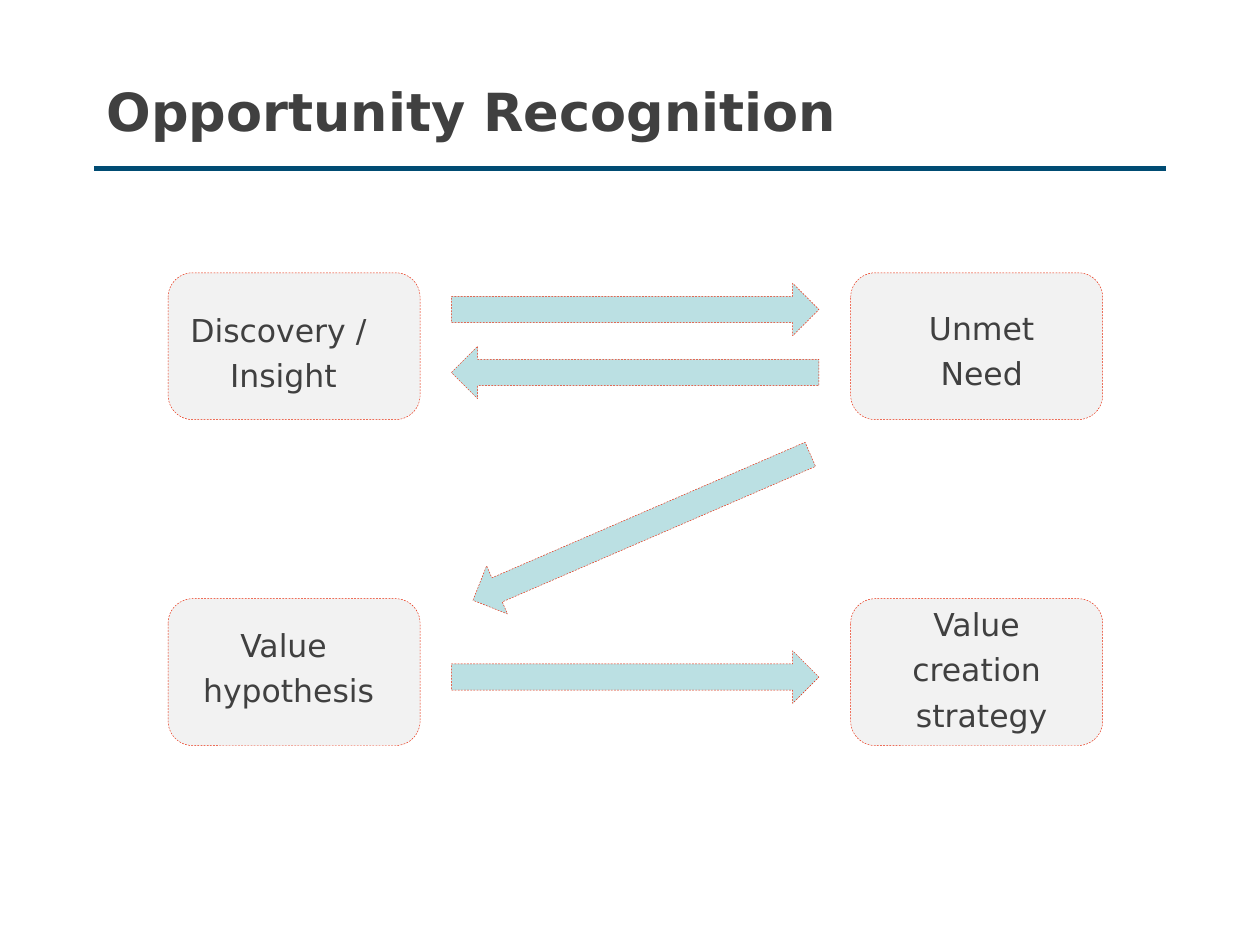
from pptx import Presentation, util as u
from pptx.dml.color import RGBColor
from pptx.enum import dml, shapes, text
from pptx.oxml import parse_xml
from pptx.oxml.ns import nsdecls

FONT, INK, RULE, EDGE = "DejaVu Sans", "404040", "004C73", "E82606"
TITLE = "Opportunity Recognition"
COLS, ROWS = (3.39, 17.15), (5.5, 12.07)
BOX, ARROW = (5.08, 2.96), (7.41, 1.06)
LABELS = [
    (("Value ", "creation ", "strategy"), (15.45, 12.07, 8.68, 1.9)),
    (("Value ", "hypothesis"), (0, 12.49, 11.64, 1.9)),
    (("Unmet", "Need"), (16.51, 6.1, 6.56, 1.52)),
    (("Discovery / ", "Insight"), (1.48, 6.14, 8.47, 1.27)),
]
ARROWS = [
    ("RIGHT_ARROW", 9.1, 5.71, 0),
    ("LEFT_ARROW", 9.1, 6.98, 0),
    ("LEFT_ARROW", 9.23, 10.1, 336.6),
    ("RIGHT_ARROW", 9.1, 13.12, 0),
]


def rgb(code):
    """Turn a hex string into a colour."""
    return RGBColor.from_string(code)


def cm(*nums):
    """Turn numbers into lengths."""
    return [u.Cm(n) for n in nums]


def write(para, words, size, bold=False):
    """Add one formatted run to a paragraph."""
    run = para.add_run()
    run.text = words
    font = run.font
    font.name, font.size, font.bold = FONT, u.Pt(size), bold
    font.color.rgb = rgb(INK)


def draw(slide, kind, place, fill):
    """Add a filled shape with a thin dashed edge."""
    shape = slide.shapes.add_shape(shapes.MSO_SHAPE[kind], *cm(*place))
    shape.shadow.inherit = False
    shape.fill.solid()
    shape.fill.fore_color.rgb = rgb(fill)
    shape.line.color.rgb = rgb(EDGE)
    shape.line.width = u.Pt(0.25)
    shape.line.dash_style = dml.MSO_LINE.DASH
    return shape


def label(slide, lines, place):
    """Add a centred text box with one paragraph a line."""
    frame = slide.shapes.add_textbox(*cm(*place)).text_frame
    frame.word_wrap = True
    for i, words in enumerate(lines):
        para = frame.add_paragraph() if i else frame.paragraphs[0]
        para.alignment = text.PP_ALIGN.CENTER
        para.space_before = u.Pt(4.3 if i else 0)
        write(para, words, 18)


def head(slide):
    """Place the title and the rule below it."""
    title = slide.shapes.title
    title.left, title.top, title.width, title.height = cm(1.9, 1.06, 21.6, 2.33)
    frame = title.text_frame
    frame.word_wrap = True
    frame.vertical_anchor = text.MSO_ANCHOR.MIDDLE
    para = frame.paragraphs[0]
    para.alignment = text.PP_ALIGN.LEFT
    write(para, TITLE, 30, True)
    rule = slide.shapes.add_connector(
        shapes.MSO_CONNECTOR.STRAIGHT, *cm(1.9, 3.39, 23.5, 3.39))
    rule.line.color.rgb = rgb(RULE)
    rule.line.width = u.Pt(3)
    rule.element.spPr.append(parse_xml(f"<a:effectLst {nsdecls('a')}/>"))


def main():
    """Build the slide and save it."""
    deck = Presentation()
    deck.slide_width, deck.slide_height = cm(25.4, 19.05)
    slide = deck.slides.add_slide(deck.slide_layouts[5])
    head(slide)
    for top in ROWS:
        for left in COLS:
            draw(slide, "ROUNDED_RECTANGLE", (left, top, *BOX), "F2F2F2")
    for lines, place in LABELS:
        label(slide, lines, place)
    for kind, left, top, turn in ARROWS:
        draw(slide, kind, (left, top, *ARROW), "BBE0E3").rotation = turn
    deck.save("out.pptx")


if __name__ == "__main__":
    main()
